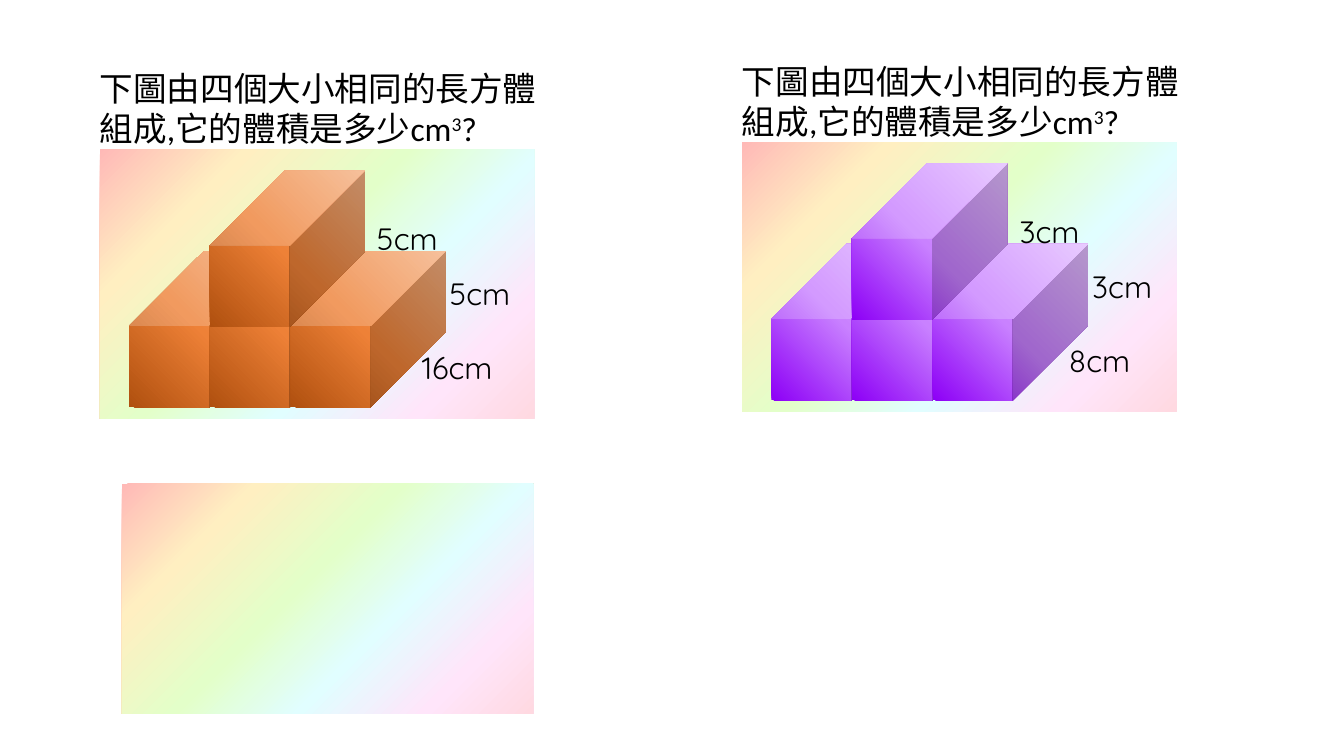
import pptx
import pptx.dml.color
import pptx.enum.shapes
import pptx.enum.text
import pptx.oxml
import pptx.oxml.ns
import pptx.util
from pptx.util import Inches

RAINBOW = [(0, "FFB9B7"), (21, "FFEFC1"), (44, "E3FFC9"),
           (63, "E1FEFF"), (83, "FFE5FA"), (100, "FFD9E1")]
ORANGE = [(0, "B0500F"), (48, "EE8137"), (100, "F4B183")]
PURPLE = [(0, "8D00F6"), (48, "C981FF"), (100, "E3BDFF")]

PANEL_SIZE = (4.31, 2.67)
CUBE_SIZE = (1.54, 1.55)
CUBE_PITCH = 0.8
CUBE_DEPTH = 0.483
# Column and row of each cuboid, from back to front
CUBE_CELLS = [(0, 1), (1, 1), (2, 1), (1, 0)]
# Left, top and width of the height, height and length labels in a panel
LABEL_BOXES = [(2.55, 0.69, 1), (3.27, 1.24, 1), (2.99, 1.97, 1.11)]


def color(hex_string):
    return pptx.dml.color.RGBColor.from_string(hex_string)


def fill_gradient(shape, stops, angle):
    """Fill with (percent, colour) stops; the angle runs counterclockwise."""
    shape.fill.gradient()
    shape.fill.gradient_angle = angle
    stop_list = shape.fill._fill._gradFill.find(pptx.oxml.ns.qn("a:gsLst"))
    for stop in list(stop_list):
        stop_list.remove(stop)
    for percent, hex_string in stops:
        stop_list.append(pptx.oxml.parse_xml(
            f'<a:gs {pptx.oxml.ns.nsdecls("a")} pos="{percent * 1000}">'
            f'<a:srgbClr val="{hex_string}"/></a:gs>'))


def add_gradient_shape(slide, kind, left, top, size, stops, angle):
    shape = slide.shapes.add_shape(
        kind, Inches(left), Inches(top), *map(Inches, size))
    shape.shadow.inherit = False
    shape.line.fill.background()
    fill_gradient(shape, stops, angle)
    return shape


def add_background(slide, left, top, size):
    add_gradient_shape(slide, pptx.enum.shapes.MSO_SHAPE.RECTANGLE,
                       left, top, size, RAINBOW, 315)


def add_text(slide, left, top, width, height, font_name, font_size):
    """Return the empty first paragraph of a new text box."""
    box = slide.shapes.add_textbox(*map(Inches, (left, top, width, height)))
    box.text_frame.word_wrap = True
    paragraph = box.text_frame.paragraphs[0]
    paragraph.font.name = font_name
    paragraph.font.size = pptx.util.Pt(font_size)
    paragraph.font.color.rgb = color("000000")
    return paragraph


def add_question(slide, left, top):
    paragraph = add_text(slide, left, top, 4.81, 0.91, "Calibri", 24)
    paragraph.add_run().text = "下圖由四個大小相同的長方體組成,它的體積是多少cm"
    exponent = paragraph.add_run()
    exponent.text = "3"
    exponent.font._element.set("baseline", "30000")
    paragraph.add_run().text = "?"


def add_label(slide, left, top, width, text):
    paragraph = add_text(slide, left, top, width, 0.52, "Quicksand", 22)
    paragraph.alignment = pptx.enum.text.PP_ALIGN.CENTER
    paragraph.line_spacing = 0.9
    paragraph.space_before = pptx.util.Pt(10)
    paragraph.add_run().text = text


def add_cuboids(slide, left, top, stops):
    for column, row in CUBE_CELLS:
        cube = add_gradient_shape(
            slide, pptx.enum.shapes.MSO_SHAPE.CUBE,
            left + column * CUBE_PITCH, top + row * CUBE_PITCH,
            CUBE_SIZE, stops, 45)
        cube.adjustments[0] = CUBE_DEPTH


def add_exercise(slide, left, top, stops, lengths):
    add_background(slide, left, top, PANEL_SIZE)
    add_question(slide, left - 0.1, top - 0.86)
    add_cuboids(slide, left + 0.29, top + 0.21, stops)
    for (label_left, label_top, width), text in zip(LABEL_BOXES, lengths):
        add_label(slide, left + label_left, top + label_top, width, text)


def main():
    presentation = pptx.Presentation()
    presentation.slide_width = Inches(13.33)
    presentation.slide_height = Inches(7.5)
    slide = presentation.slides.add_slide(presentation.slide_layouts[6])
    add_exercise(slide, 0.99, 1.48, ORANGE, ["5cm", "5cm", "16cm"])
    add_background(slide, 1.21, 4.8, (4.08, 2.28))
    add_exercise(slide, 7.36, 1.41, PURPLE, ["3cm", "3cm", "8cm"])
    presentation.save("out.pptx")


if __name__ == "__main__":
    main()
